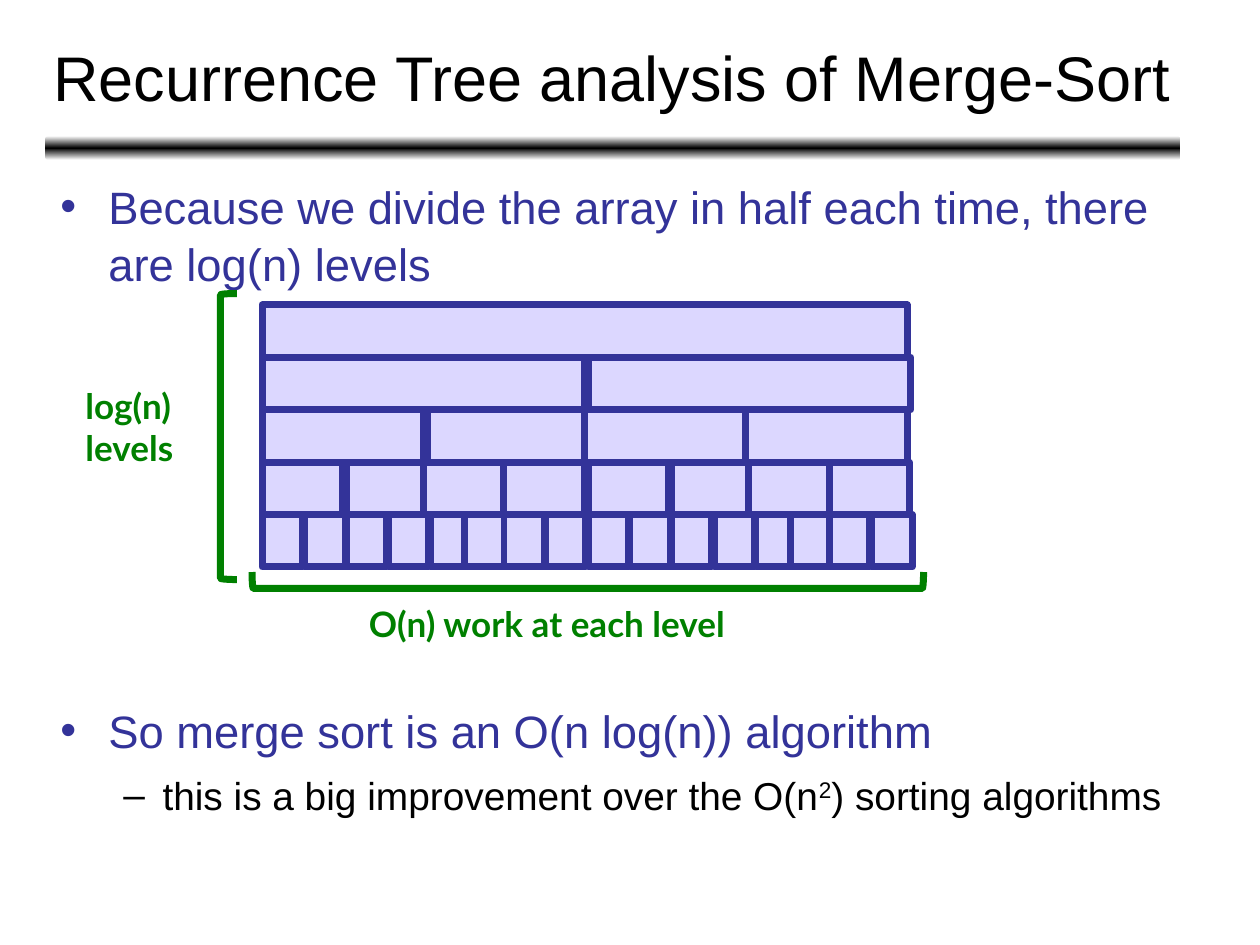
from copy import deepcopy

from lxml.etree import SubElement
from pptx import Presentation
from pptx.dml.color import RGBColor
from pptx.enum.shapes import MSO_SHAPE as Shape
from pptx.enum.text import MSO_ANCHOR as Anchor, MSO_AUTO_SIZE as AutoSize, PP_ALIGN as Align
from pptx.oxml.ns import qn
from pptx.util import Inches, Pt

BLACK = RGBColor(0, 0, 0)
WHITE = RGBColor(255, 255, 255)
NAVY = RGBColor(0x33, 0x33, 0x99)
LILAC = RGBColor(0xDC, 0xD7, 0xFF)
GREEN = RGBColor(0, 0x80, 0)

TREE_TOP, TREE_WIDTH, LEVEL_HEIGHT = 2.42, 5.12, 0.416
# Left edges of the subarrays, one row per level of the recursion
LEVELS = (
    (2.08,),
    (2.08, 4.67),
    (2.08, 3.39, 4.64, 5.92),
    (2.08, 2.75, 3.36, 4, 4.67, 5.33, 5.94, 6.58),
    (2.08, 2.42, 2.75, 3.08, 3.42, 3.69, 4, 4.33,
     4.67, 5, 5.33, 5.67, 6, 6.27, 6.58, 6.92),
)

BULLETS = (
    dict(runs=["Because we divide the array in half each time, there are log(n) levels"],
         level=0, mark="•", margin=0.38, hang=0.38, size=25.9, color=NAVY, before=0),
    # The wide gap leaves room for the tree
    dict(runs=["So merge sort is an O(n log(n)) algorithm"],
         level=0, mark="•", margin=0.38, hang=0.38, size=25.9, color=NAVY, before=234),
    dict(runs=["this is a big improvement over the O(n", "2", ") sorting algorithms"],
         level=1, mark="–", margin=0.81, hang=0.31, size=22.2, color=BLACK, before=7),
)


def place(shape, left, top, width, height):
    box = dict(left=left, top=top, width=width, height=height)
    for side, length in box.items():
        setattr(shape, side, Inches(length))


def format_font(font, color, **values):
    font.color.rgb = color
    for name, value in values.items():
        setattr(font, name, value)


def add_outlined(shapes, preset, box, line_color, fill_color=None):
    shape = shapes.add_shape(preset, *map(Inches, box))
    shape.shadow.inherit = False
    if fill_color is None:
        shape.fill.background()
    else:
        shape.fill.solid()
        shape.fill.fore_color.rgb = fill_color
    shape.line.color.rgb = line_color
    shape.line.width = Pt(4)
    return shape


def add_title(slide, wording):
    title = slide.shapes.title
    place(title, 0.11, 0.11, 9.49, 0.99)
    frame = title.text_frame
    frame.text = wording
    frame.vertical_anchor = Anchor.MIDDLE
    frame.auto_size = AutoSize.NONE
    frame.paragraphs[0].alignment = Align.CENTER
    format_font(frame.paragraphs[0].runs[0].font, BLACK, size=Pt(36), name="Arial")


def add_rule(slide):
    """Draw the bar under the title, fading from black to white both ways."""
    bar = slide.shapes.add_shape(
        Shape.ROUNDED_RECTANGLE, *map(Inches, (0.36, 1.08, 9.01, 0.19)))
    bar.shadow.inherit = False
    bar.line.fill.background()
    bar.fill.gradient()
    bar.fill.gradient_angle = 90
    first = bar.fill._xPr.find(qn("a:gradFill")).find(qn("a:gsLst"))[0]
    first.addnext(deepcopy(first))
    for stop, position, color in zip(
            bar.fill.gradient_stops, (0, 0.5, 1), (WHITE, BLACK, WHITE)):
        stop.position = position
        stop.color.rgb = color


def set_bullet(paragraph, mark, margin, hang, color):
    properties = paragraph._p.get_or_add_pPr()
    properties.set("marL", str(Inches(margin)))
    properties.set("indent", str(-Inches(hang)))
    bullet_color = SubElement(properties, qn("a:buClr"))
    SubElement(bullet_color, qn("a:srgbClr"), val=str(color))
    SubElement(properties, qn("a:buFont"), typeface="Arial")
    SubElement(properties, qn("a:buChar"), char=mark)


def add_bullets(slide, bullets):
    body = slide.placeholders[1]
    place(body, 0.38, 1.35, 9, 5.55)
    frame = body.text_frame
    frame.auto_size = AutoSize.NONE
    for index, item in enumerate(bullets):
        paragraph = frame.add_paragraph() if index else frame.paragraphs[0]
        set_bullet(paragraph, item["mark"], item["margin"], item["hang"], item["color"])
        paragraph.level = item["level"]
        paragraph.space_before = Pt(item["before"])
        paragraph.line_spacing = 1.05
        for wording in item["runs"]:
            run = paragraph.add_run()
            run.text = wording
            format_font(run.font, item["color"], size=Pt(item["size"]), name="Arial")
            if wording == "2":
                run.font._element.set("baseline", "30000")


def add_tree(slide):
    tree = slide.shapes.add_group_shape()
    for depth, lefts in enumerate(LEVELS):
        top = TREE_TOP + depth * LEVEL_HEIGHT
        width = TREE_WIDTH / len(lefts)
        for left in lefts:
            add_outlined(tree.shapes, Shape.RECTANGLE,
                         (left, top, width, LEVEL_HEIGHT), NAVY, LILAC)


def add_bracket(slide, preset, box, rotation=0):
    bracket = add_outlined(slide.shapes, preset, box, GREEN)
    bracket.adjustments[0] = 0.08
    bracket.rotation = rotation


def add_label(slide, wording, box):
    frame = slide.shapes.add_textbox(*map(Inches, box)).text_frame
    frame.word_wrap = True
    frame.text = wording
    format_font(frame.paragraphs[0].runs[0].font, GREEN,
                size=Pt(20), name="Lato", bold=True)


def main():
    deck = Presentation()
    deck.slide_width, deck.slide_height = Inches(10), Inches(7.5)
    slide = deck.slides.add_slide(deck.slide_layouts[1])
    add_rule(slide)
    add_title(slide, "Recurrence Tree analysis of Merge-Sort")
    add_bullets(slide, BULLETS)
    add_tree(slide)
    add_bracket(slide, Shape.RIGHT_BRACKET, (4.6, 1.94, 0.13, 5.33), rotation=90)
    add_bracket(slide, Shape.LEFT_BRACKET, (1.75, 2.33, 0.13, 2.27))
    add_label(slide, "log(n) levels", (0.58, 3, 1.25, 0.77))
    add_label(slide, "O(n) work at each level", (2.83, 4.73, 3.67, 0.44))
    deck.save("out.pptx")


if __name__ == "__main__":
    main()
